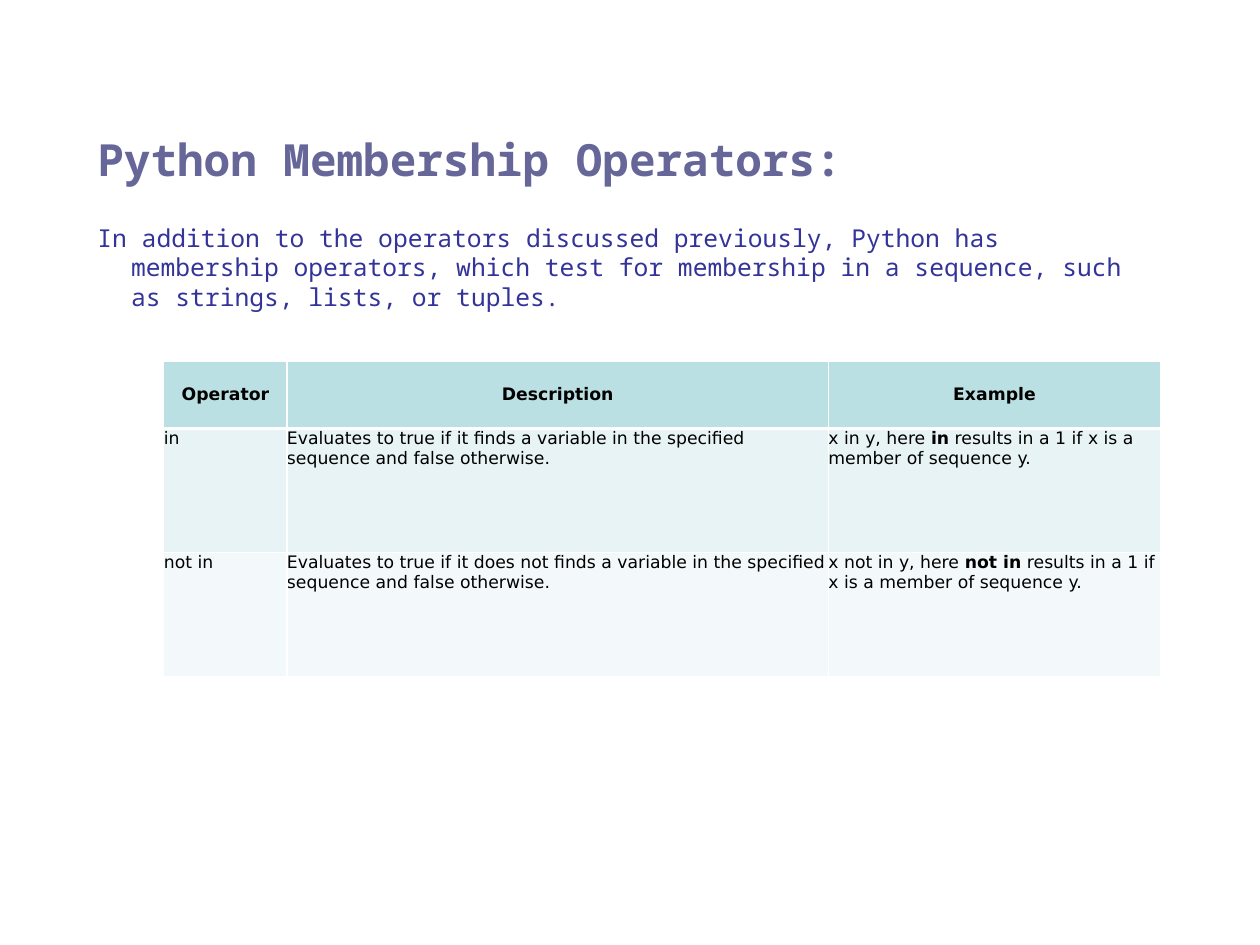
from lxml.etree import SubElement
from pptx import Presentation
from pptx.dml.color import RGBColor
from pptx.enum.text import MSO_ANCHOR as Anchor, PP_ALIGN as Align
from pptx.oxml.ns import qn
from pptx.util import Inches, Pt

TITLE_COLOR = RGBColor(0x66, 0x66, 0x99)
INTRO_COLOR = RGBColor(0x33, 0x33, 0x99)
CELL_TEXT = RGBColor(0x00, 0x00, 0x00)
BORDER = RGBColor(0xFF, 0xFF, 0xFF)
HEADER_FILL = RGBColor(0xBB, 0xE0, 0xE3)
ROW_FILLS = (RGBColor(0xE7, 0xF3, 0xF4), RGBColor(0xF3, 0xF9, 0xFA))

TITLE = "Python Membership Operators:"
INTRO = (
    "In addition to the operators discussed previously, Python has membership "
    "operators, which test for membership in a sequence, such as strings, "
    "lists, or tuples."
)
HEADINGS = ("Operator", "Description", "Example")
OPERATORS = (
    ("in", "Evaluates to true if it finds a variable in the specified "
           "sequence and false otherwise."),
    ("not in", "Evaluates to true if it does not finds a variable in the "
               "specified sequence and false otherwise."),
)


class OperatorSlide:
    heading_font = "Noto Sans Mono"
    table_font = "DejaVu Sans"
    table_size = 14

    def __init__(self, deck):
        self.column = deck.slide_width / 100
        self.row = deck.slide_height / 100
        self.slide = deck.slides.add_slide(deck.slide_layouts[6])

    def across(self, columns):
        return round(columns * self.column)

    def down(self, rows):
        return round(rows * self.row)

    def run(self, paragraph, words, font, size, color, bold=False):
        run = paragraph.add_run()
        run.text = words
        run.font.name = font
        run.font.size = Pt(size)
        run.font.bold = bold
        run.font.color.rgb = color

    def text_box(self, left, top, width, height):
        box = self.slide.shapes.add_textbox(
            self.across(left), self.down(top), self.across(width), self.down(height))
        frame = box.text_frame
        frame.word_wrap = True
        frame.margin_left = frame.margin_right = Inches(0.06)
        frame.margin_top = frame.margin_bottom = Inches(0.06)
        return frame

    def heading(self, paragraph, words):
        paragraph.line_spacing = Pt(46)
        self.run(paragraph, words, self.heading_font, 36, TITLE_COLOR, True)

    def hanging(self, paragraph, words):
        paragraph.line_spacing = Pt(24)
        paragraph.space_before = Pt(30.7)
        properties = paragraph._p.get_or_add_pPr()
        properties.set("marL", str(Inches(0.38)))
        properties.set("indent", str(-Inches(0.38)))
        self.run(paragraph, words, self.heading_font, 20, INTRO_COLOR)

    def borders(self, cell, top, bottom):
        properties = cell._tc.get_or_add_tcPr()
        for side, width in (("L", 1), ("R", 1), ("T", top), ("B", bottom)):
            line = SubElement(properties, qn(f"a:ln{side}"), w=str(Pt(width)))
            fill = SubElement(line, qn("a:solidFill"))
            SubElement(fill, qn("a:srgbClr"), val=str(BORDER))

    def cell(self, cell, parts, fill, top=1, bottom=1, header=False):
        cell.margin_left = cell.margin_right = 0
        cell.margin_top = cell.margin_bottom = 0
        cell.vertical_anchor = Anchor.MIDDLE if header else Anchor.TOP
        self.borders(cell, top, bottom)
        cell.fill.solid()
        cell.fill.fore_color.rgb = fill
        paragraph = cell.text_frame.paragraphs[0]
        paragraph.alignment = Align.CENTER if header else Align.LEFT
        for words, bold in parts:
            self.run(paragraph, words, self.table_font, self.table_size, CELL_TEXT, bold)

    def table(self, left, top, widths, heights):
        table = self.slide.shapes.add_table(
            len(heights), len(widths), self.across(left), self.down(top),
            self.across(sum(widths)), self.down(sum(heights))).table
        table.first_row = table.horz_banding = False
        for column, width in zip(table.columns, widths):
            column.width = self.across(width)
        for row, height in zip(table.rows, heights):
            row.height = self.down(height)
        return table


def main():
    deck = Presentation()
    deck.slide_width, deck.slide_height = Inches(14.22), Inches(10.67)
    page = OperatorSlide(deck)

    body = page.text_box(7.31, 13.03, 85.37, 73.95)
    page.heading(body.paragraphs[0], TITLE)
    page.hanging(body.add_paragraph(), INTRO)

    table = page.table(13.01, 38.24, (9.77, 42.97, 26.37), (7.12, 13.12, 13.12))
    for column, heading in enumerate(HEADINGS):
        page.cell(table.cell(0, column), [(heading, True)], HEADER_FILL,
                  bottom=3, header=True)
    for row, (operator, description) in enumerate(OPERATORS, 1):
        example = [
            (f"x {operator} y, here ", False),
            (operator, True),
            (" results in a 1 if x is a member of sequence y.", False),
        ]
        contents = ([(operator, False)], [(description, False)], example)
        for column, parts in enumerate(contents):
            page.cell(table.cell(row, column), parts, ROW_FILLS[row - 1],
                      top=3 if row == 1 else 1)

    deck.save("out.pptx")


if __name__ == "__main__":
    main()
